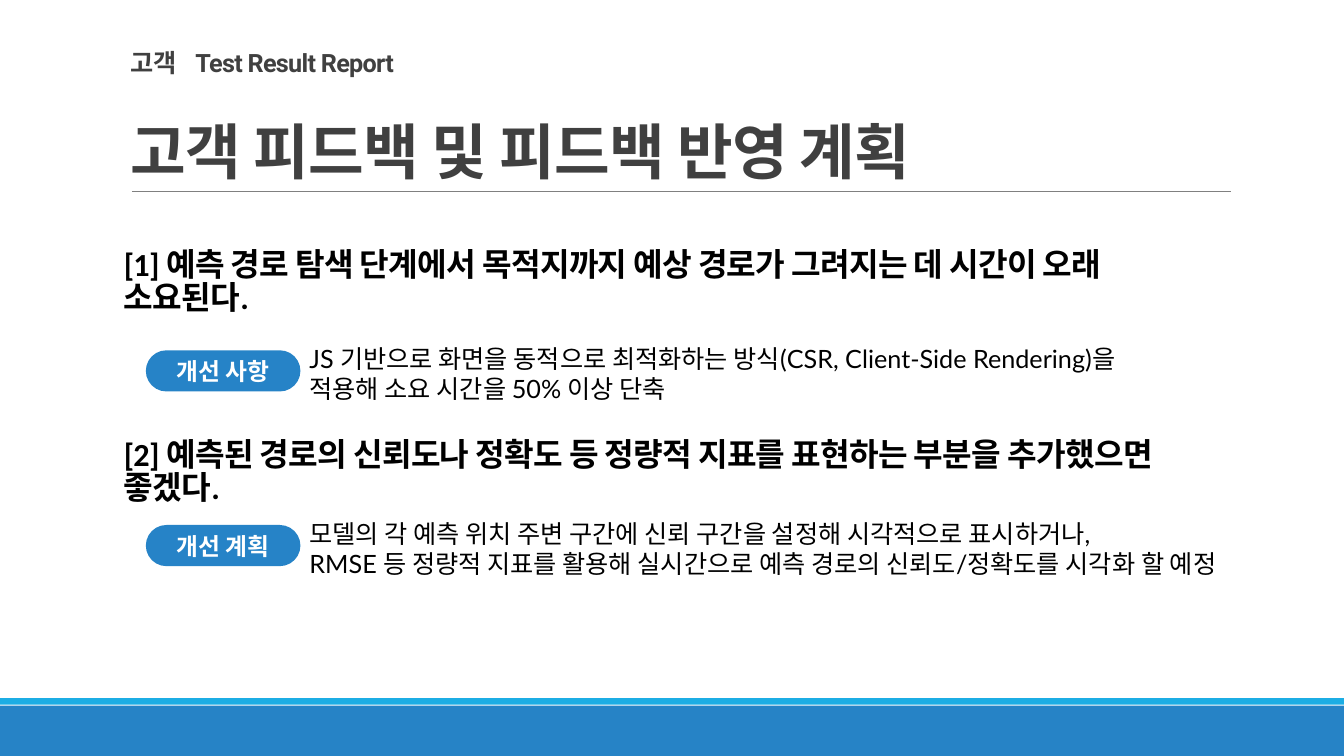
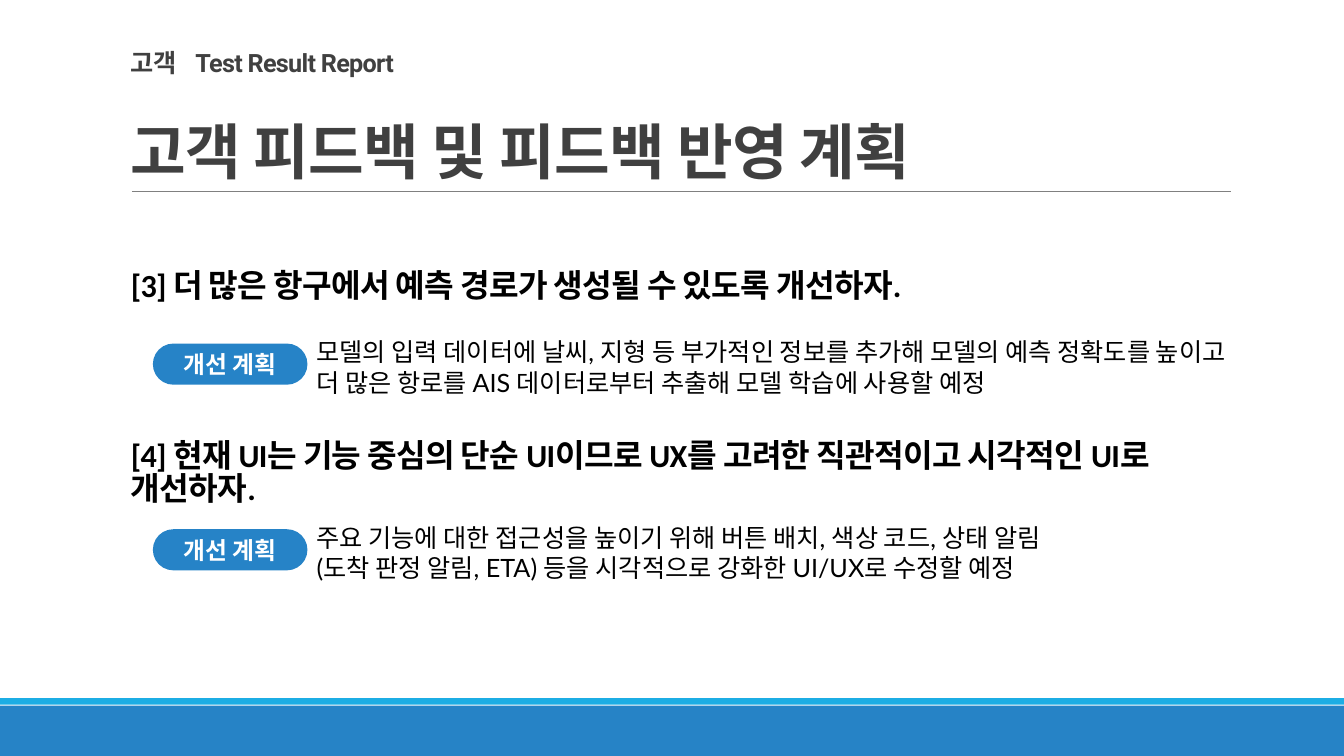
from dataclasses import dataclass

from lxml.etree import SubElement
from pptx import Presentation
from pptx.dml.color import RGBColor
from pptx.enum.shapes import MSO_CONNECTOR, MSO_SHAPE
from pptx.enum.text import MSO_ANCHOR, MSO_AUTO_SIZE, PP_ALIGN
from pptx.oxml.ns import qn
from pptx.slide import Slide
from pptx.text.text import TextFrame, _Paragraph
from pptx.util import Emu, Inches, Pt

# Grid of 160 columns by 90 rows, square cells
COLUMNS, ROWS = 160, 90
CELL = Inches(7.5) / ROWS

# Colours
BAND_BLUE = RGBColor(0x26, 0x83, 0xC6)
STRIPE_CYAN = RGBColor(0x1C, 0xAD, 0xE4)
BADGE_BLUE = RGBColor(0x26, 0x83, 0xC7)
RULE_GRAY = RGBColor(0x80, 0x80, 0x80)
TITLE_GRAY = RGBColor(0x40, 0x40, 0x40)
BLACK = RGBColor(0x00, 0x00, 0x00)
WHITE = RGBColor(0xFF, 0xFF, 0xFF)

# Text styles
KICKER = {"name": "Roboto", "size": Pt(18), "bold": True}
TITLE = {"name": "Roboto", "size": Pt(43.2), "bold": True}
REQUEST = {"name": "Calibri", "size": Pt(23), "bold": True}
BADGE = {"name": "Calibri", "size": Pt(17), "bold": True}
ANSWER = {"name": "Lato", "size": Pt(18), "bold": False}
TIGHT = -50  # character spacing in hundredths of a point

# Offsets inside a feedback item, in cells
BADGE_INDENT, BADGE_DROP = 3.8, 1.4
ANSWER_INDENT = 22.1


@dataclass(frozen=True)
class Feedback:
    request: str
    request_row: float
    badge: str
    answer: tuple[str, ...]
    answer_row: float
    request_columns: float = 132
    anchor: MSO_ANCHOR = MSO_ANCHOR.MIDDLE


@dataclass(frozen=True)
class Page:
    left: float
    items: tuple[Feedback, ...]


PAGES = (
    Page(13.56, (
        Feedback("[1] 예측 경로 탐색 단계에서 목적지까지 예상 경로가 그려지는 데 시간이 오래 소요된다.",
                 29.9, "개선 사항",
                 ("JS 기반으로 화면을 동적으로 최적화하는 방식(CSR, Client-Side Rendering)을",
                  "적용해 소요 시간을 50% 이상 단축"),
                 40.3, anchor=MSO_ANCHOR.BOTTOM),
        Feedback("[2] 예측된 경로의 신뢰도나 정확도 등 정량적 지표를 표현하는 부분을 추가했으면 좋겠다.",
                 52.2, "개선 계획",
                 ("모델의 각 예측 위치 주변 구간에 신뢰 구간을 설정해 시각적으로 표시하거나,",
                  "RMSE 등 정량적 지표를 활용해 실시간으로 예측 경로의 신뢰도/정확도를 시각화 할 예정"),
                 61.1),
    )),
    Page(14.4, (
        Feedback("[3] 더 많은 항구에서 예측 경로가 생성될 수 있도록 개선하자.",
                 30.1, "개선 계획",
                 ("모델의 입력 데이터에 날씨, 지형 등 부가적인 정보를 추가해 모델의 예측 정확도를 높이고",
                  "더 많은 항로를 AIS 데이터로부터 추출해 모델 학습에 사용할 예정"),
                 39.5),
        Feedback("[4] 현재 UI는 기능 중심의 단순 UI이므로 UX를 고려한 직관적이고 시각적인 UI로 개선하자.",
                 52.3, "개선 계획",
                 ("주요 기능에 대한 접근성을 높이기 위해 버튼 배치, 색상 코드, 상태 알림",
                  "(도착 판정 알림, ETA) 등을 시각적으로 강화한 UI/UX로 수정할 예정"),
                 61.6, request_columns=138.2),
    )),
)


def cells(*counts: float) -> list[Emu]:
    return [Emu(round(count * CELL)) for count in counts]


def add_run(paragraph: _Paragraph, text: str, style: dict, color: RGBColor,
            spacing: int = 0) -> None:
    run = paragraph.add_run()
    run.text = text
    for key, value in style.items():
        setattr(run.font, key, value)
    run.font.color.rgb = color
    if spacing:
        run._r.get_or_add_rPr().set("spc", str(spacing))


def add_text_area(slide: Slide, at: tuple[float, ...], anchor: MSO_ANCHOR) -> TextFrame:
    frame = slide.shapes.add_textbox(*cells(*at)).text_frame
    frame.word_wrap = True
    frame.vertical_anchor = anchor
    return frame


def add_filled(slide: Slide, kind: MSO_SHAPE, at: tuple[float, ...], color: RGBColor) -> TextFrame:
    shape = slide.shapes.add_shape(kind, *cells(*at))
    shape.shadow.inherit = False
    shape.fill.solid()
    shape.fill.fore_color.rgb = color
    shape.line.fill.background()
    if kind == MSO_SHAPE.ROUNDED_RECTANGLE:
        shape.adjustments[0] = 0.5
    return shape.text_frame


def add_frame(slide: Slide) -> None:
    # Footer bands
    add_filled(slide, MSO_SHAPE.RECTANGLE, (0, 84, COLUMNS, 6), BAND_BLUE)
    add_filled(slide, MSO_SHAPE.RECTANGLE, (0, 83.1, COLUMNS, 0.8), STRIPE_CYAN)

    # Rule under the title
    rule = slide.shapes.add_connector(MSO_CONNECTOR.STRAIGHT, *cells(15.7, 22.8, 146.5, 22.8))
    rule.line.color.rgb = RULE_GRAY
    rule.line.width = Pt(0.5)
    SubElement(rule._element.spPr, qn("a:effectLst"))

    # Kicker and title, with a tab stop after the first word
    heading = add_text_area(slide, (14.4, 3.7, 132, 19.1), MSO_ANCHOR.BOTTOM).paragraphs[0]
    heading.line_spacing = 1.5
    tabs = SubElement(heading._p.get_or_add_pPr(), qn("a:tabLst"))
    SubElement(tabs, qn("a:tab"), pos=str(Inches(0.64)), algn="l")
    add_run(heading, "고객\tTest Result Report", KICKER, TITLE_GRAY, TIGHT)
    heading.add_line_break()
    add_run(heading, "고객 피드백 및 피드백 반영 계획", TITLE, TITLE_GRAY, TIGHT)


def add_feedback(slide: Slide, left: float, item: Feedback) -> None:
    # Customer request
    request = add_text_area(slide, (left, item.request_row, item.request_columns, 8.3),
                            item.anchor).paragraphs[0]
    request.line_spacing = 0.85
    add_run(request, item.request, REQUEST, BLACK, TIGHT)

    # Badge
    badge = add_filled(slide, MSO_SHAPE.ROUNDED_RECTANGLE,
                       (left + BADGE_INDENT, item.answer_row + BADGE_DROP, 18.4, 4.9), BADGE_BLUE)
    badge.vertical_anchor = MSO_ANCHOR.MIDDLE
    badge.paragraphs[0].alignment = PP_ALIGN.CENTER
    add_run(badge.paragraphs[0], item.badge, BADGE, WHITE)

    # Answer
    answer = add_text_area(slide, (left + ANSWER_INDENT, item.answer_row, 114.4, 8.5),
                           MSO_ANCHOR.TOP)
    answer.auto_size = MSO_AUTO_SIZE.SHAPE_TO_FIT_TEXT
    for index, line in enumerate(item.answer):
        paragraph = answer.add_paragraph() if index else answer.paragraphs[0]
        add_run(paragraph, line, ANSWER, BLACK)


def main() -> None:
    deck = Presentation()
    deck.slide_width, deck.slide_height = cells(COLUMNS, ROWS)
    for page in PAGES:
        slide = deck.slides.add_slide(deck.slide_layouts[6])
        add_frame(slide)
        for item in page.items:
            add_feedback(slide, page.left, item)
    deck.save("out.pptx")


if __name__ == "__main__":
    main()
